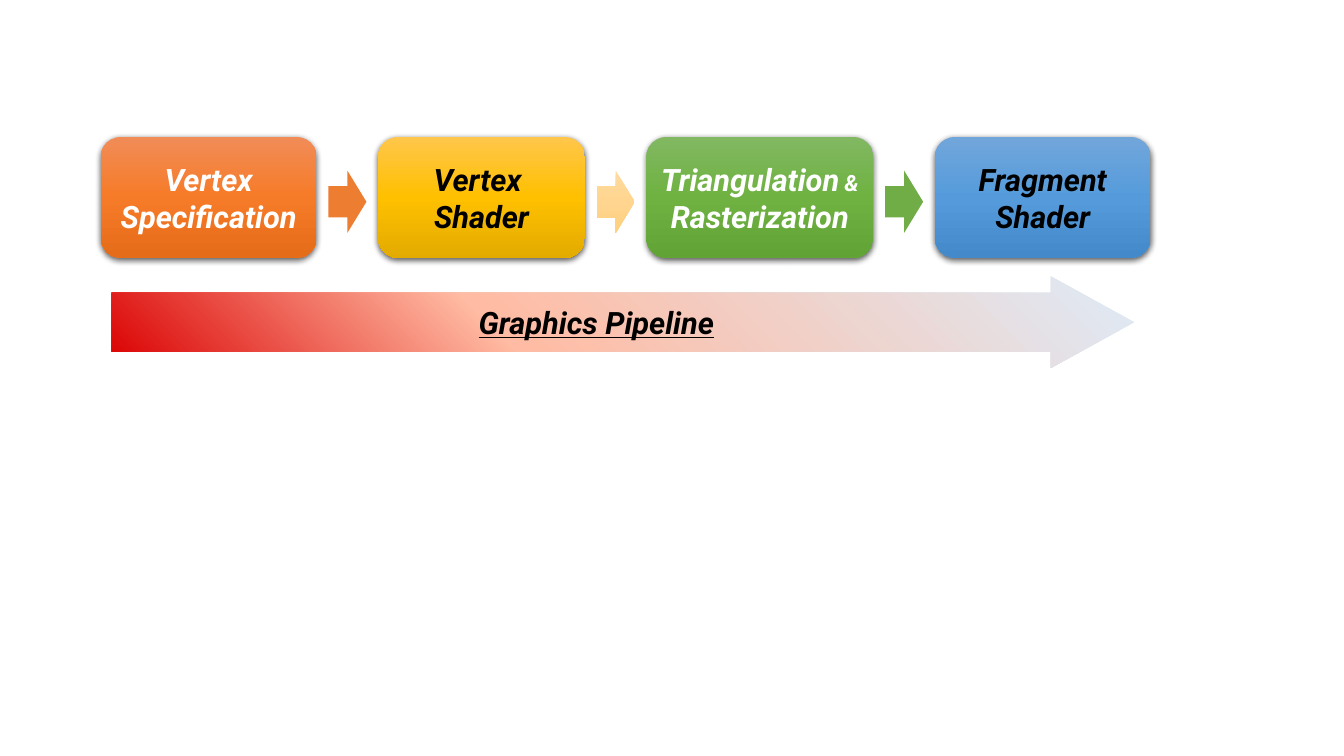
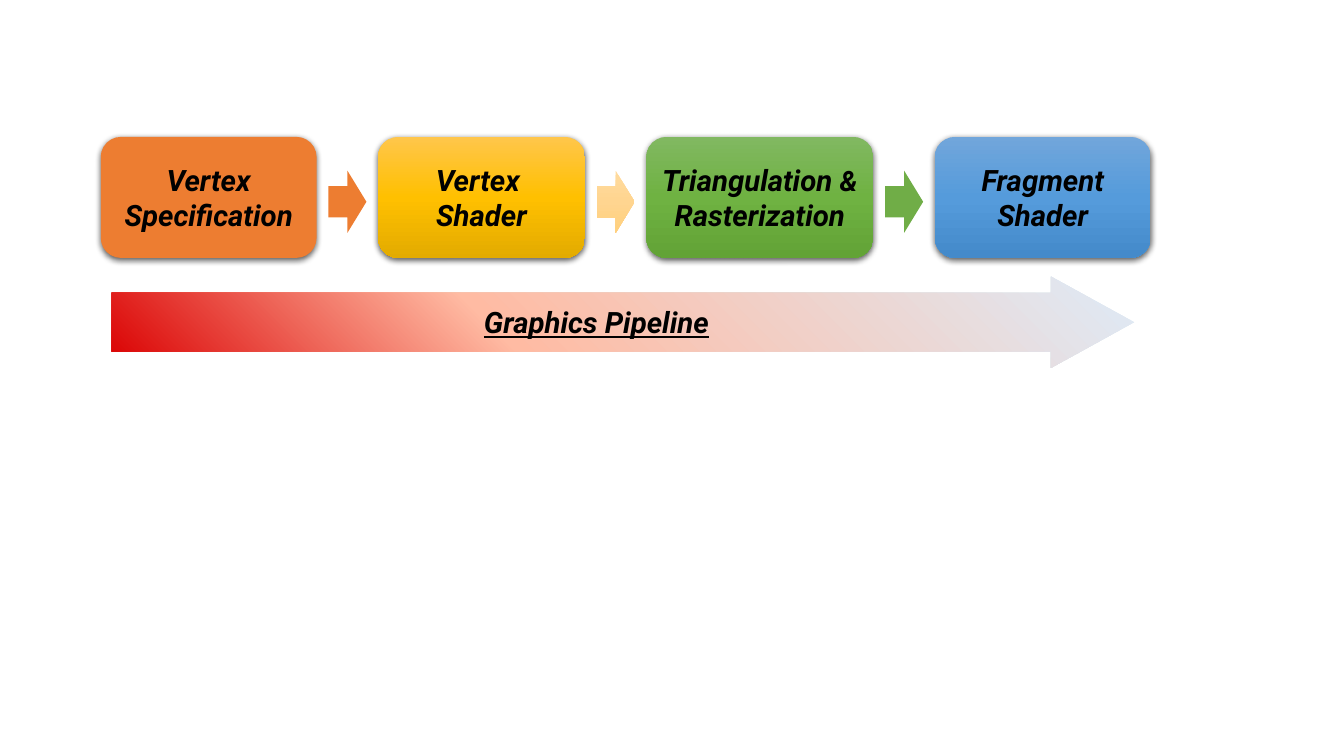
import pptx
import pptx.dml.color
import pptx.enum.shapes
import pptx.enum.text
import pptx.oxml
import pptx.oxml.ns
import pptx.util

Cm = pptx.util.Cm
Pt = pptx.util.Pt
RGBColor = pptx.dml.color.RGBColor
SHAPE = pptx.enum.shapes.MSO_SHAPE
NAMESPACE = pptx.oxml.ns.nsdecls("a")

# Colours: a list holds (position in percent, colour) gradient stops
BLACK = RGBColor(0x00, 0x00, 0x00)
WHITE = RGBColor(0xFF, 0xFF, 0xFF)
ORANGE = RGBColor(0xED, 0x7D, 0x31)
GREEN = RGBColor(0x70, 0xAD, 0x47)
ORANGE_SHADES = [(0, RGBColor(0xF1, 0x8C, 0x57)), (50, RGBColor(0xF6, 0x7B, 0x28)), (100, RGBColor(0xE5, 0x6C, 0x19))]
GOLD_SHADES = [(0, RGBColor(0xFF, 0xC6, 0x4B)), (50, RGBColor(0xFF, 0xC0, 0x00)), (100, RGBColor(0xE3, 0xAB, 0x00))]
GREEN_SHADES = [(0, RGBColor(0x81, 0xB8, 0x61)), (50, RGBColor(0x6F, 0xB2, 0x42)), (100, RGBColor(0x62, 0xA3, 0x36))]
BLUE_SHADES = [(0, RGBColor(0x71, 0xA6, 0xDB)), (50, RGBColor(0x55, 0x9B, 0xDB)), (100, RGBColor(0x44, 0x8A, 0xCA))]
CREAM_SHADES = [(0, RGBColor(0xFF, 0xDB, 0x9E)), (50, RGBColor(0xFF, 0xD5, 0x90)), (100, RGBColor(0xFF, 0xD0, 0x7C))]
PIPELINE_SHADES = [(0, RGBColor(0xDA, 0x00, 0x01)), (38, RGBColor(0xFF, 0xBB, 0xA3)), (100, RGBColor(0xDE, 0xEB, 0xF7))]

# Gradient directions and the shadow under the stages
DOWNWARD = '<a:lin ang="5400000" scaled="0"/>'
FROM_BOTTOM_LEFT = '<a:path path="circle"><a:fillToRect t="100000" r="100000"/></a:path>'
STAGE_SHADOW = (f'<a:outerShdw {NAMESPACE} blurRad="57150" dist="19050" dir="5400000" algn="ctr" rotWithShape="0">'
                '<a:srgbClr val="000000"><a:alpha val="63000"/></a:srgbClr></a:outerShdw>')

# Layout in centimetres
STAGE_LEFT, STAGE_TOP, STAGE_HEIGHT, STAGE_GAP = 2.54, 3.45, 3.05, 1.55
ARROW_TOP, ARROW_WIDTH, ARROW_HEIGHT = 4.3, 0.96, 1.57


def add_block(page, kind, left, top, width, height, fill, direction=DOWNWARD):
    box = page.shapes.add_shape(kind, Cm(left), Cm(top), Cm(width), Cm(height))
    box.shadow.inherit = False
    box.line.fill.background()
    if isinstance(fill, RGBColor):
        box.fill.solid()
        box.fill.fore_color.rgb = fill
        return box
    box.fill.gradient()
    stops = "".join(f'<a:gs pos="{position * 1000}"><a:srgbClr val="{color}"/></a:gs>'
                    for position, color in fill)
    gradient = pptx.oxml.parse_xml(
        f'<a:gradFill {NAMESPACE} rotWithShape="1"><a:gsLst>{stops}</a:gsLst>{direction}</a:gradFill>')
    properties = box.element.spPr
    properties.replace(properties.find(pptx.oxml.ns.qn("a:gradFill")), gradient)
    return box


def write_text(box, lines, color, underline=None):
    frame = box.text_frame
    frame.word_wrap = True
    frame.vertical_anchor = pptx.enum.text.MSO_ANCHOR.MIDDLE
    frame.margin_left = frame.margin_top = frame.margin_right = frame.margin_bottom = 0
    for number, line in enumerate(lines):
        para = frame.add_paragraph() if number else frame.paragraphs[0]
        para.alignment = pptx.enum.text.PP_ALIGN.CENTER
        for text, size in line:
            span = para.add_run()
            span.text = text
            span.font.name = "Roboto"
            span.font.size = Pt(size)
            span.font.bold = span.font.italic = True
            span.font.underline = underline
            span.font.color.rgb = color


deck = pptx.Presentation()
deck.slide_width, deck.slide_height = Cm(33.87), Cm(19.05)

# Per slide: text size, sizes of the space and the ampersand, first fill, accent text
versions = [(22, 14, 16, ORANGE_SHADES, WHITE), (21, 21, 20, ORANGE, BLACK)]

for size, space_size, ampersand_size, first_fill, accent in versions:
    page = deck.slides.add_slide(deck.slide_layouts[6])

    # Per stage: width, fill, text colour, lines of text, fill of the arrow that follows
    stages = [
        (5.44, first_fill, accent, [[("Vertex Specification", size)]], ORANGE),
        (5.21, GOLD_SHADES, BLACK, [[("Vertex ", size)], [("Shader", size)]], CREAM_SHADES),
        (5.72, GREEN_SHADES, accent,
         [[("Triangulation", size), (" ", space_size), ("&", ampersand_size)],
          [("Rasterization", size)]], GREEN),
        (5.44, BLUE_SHADES, BLACK, [[("Fragment Shader", size)]], None),
    ]

    # Stages with an arrow centred in each gap
    left = STAGE_LEFT
    for width, fill, color, lines, arrow_fill in stages:
        stage = add_block(page, SHAPE.ROUNDED_RECTANGLE, left, STAGE_TOP, width, STAGE_HEIGHT, fill)
        effects = stage.element.spPr.find(pptx.oxml.ns.qn("a:effectLst"))
        effects.append(pptx.oxml.parse_xml(STAGE_SHADOW))
        write_text(stage, lines, color)
        left += width + STAGE_GAP
        if arrow_fill:
            arrow_left = left - (STAGE_GAP + ARROW_WIDTH) / 2
            add_block(page, SHAPE.RIGHT_ARROW, arrow_left, ARROW_TOP, ARROW_WIDTH, ARROW_HEIGHT, arrow_fill)

    # Long arrow for the whole pipeline
    pipeline = add_block(page, SHAPE.RIGHT_ARROW, 2.82, 6.97, 25.76, 2.3, PIPELINE_SHADES, FROM_BOTTOM_LEFT)
    pipeline.adjustments[0] = 0.64
    pipeline.adjustments[1] = 0.91
    write_text(pipeline, [[("Graphics Pipeline", size)]], BLACK, underline=True)

deck.save("out.pptx")
